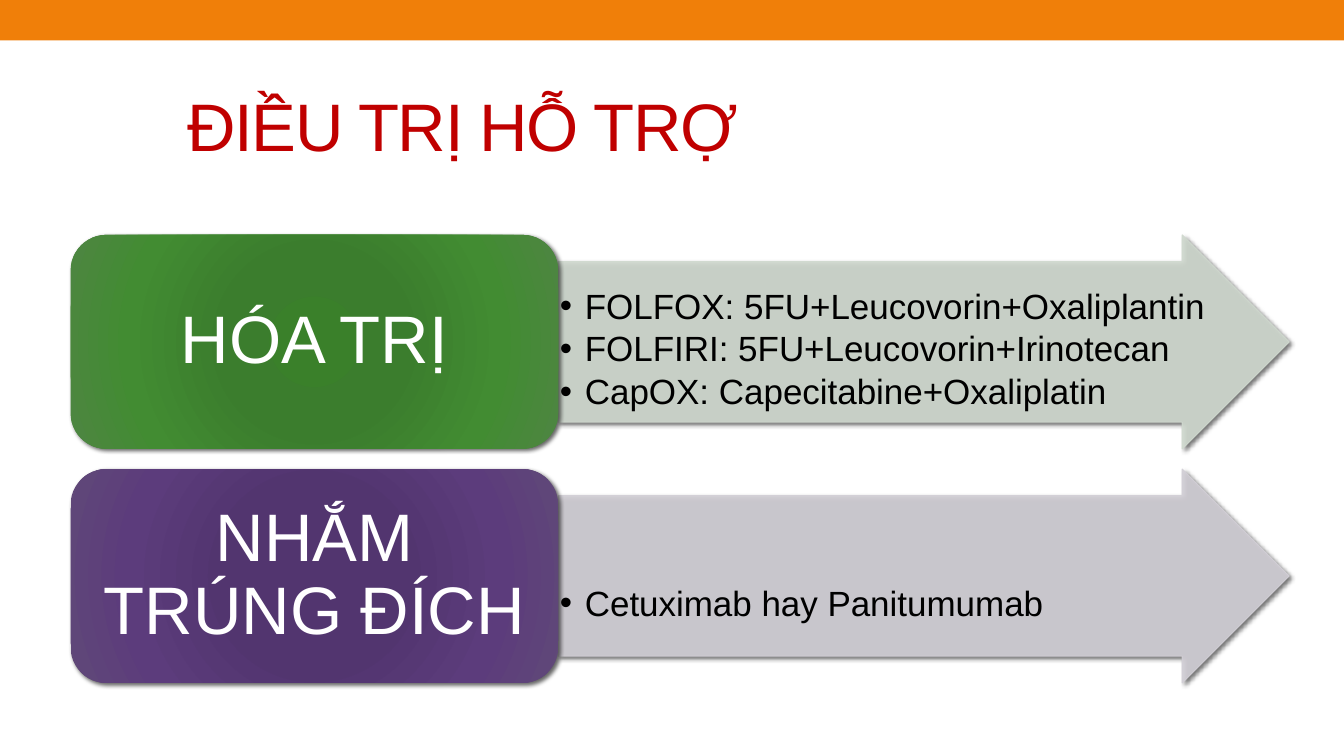
from dataclasses import dataclass

from pptx import Presentation
from pptx.dml.color import RGBColor
from pptx.enum.shapes import MSO_SHAPE
from pptx.enum.text import MSO_ANCHOR, PP_ALIGN
from pptx.oxml import parse_xml
from pptx.oxml.ns import nsdecls, qn
from pptx.util import Cm, Pt


@dataclass(frozen=True)
class Theme:
    font: str = "Arial"
    title_size: int = 48
    bullet_size: int = 25
    bar: str = "F07F09"
    title: str = "C00000"
    label: str = "FFFFFF"
    bullet: str = "000000"
    shadow: str = "000000"
    chemo_arrow: str = "D0D9CF"
    target_arrow: str = "D2CFD6"
    chemo_card: tuple = ("3A802A", "3B7D2D", "428C32", "4E8542")
    target_card: tuple = ("523371", "52356F", "5C3C7C", "604878")
    stops: tuple = (0, 34, 70, 100)


class SlideBuilder:
    def __init__(self, page, theme):
        self.page = page
        self.theme = theme

    def shape(self, kind, left, top, width, height):
        shape = self.page.shapes.add_shape(
            kind, Cm(left), Cm(top), Cm(width), Cm(height))
        shape.shadow.inherit = False
        shape.line.fill.background()
        return shape

    def text_frame(self, left, top, width, height):
        box = self.page.shapes.add_textbox(
            Cm(left), Cm(top), Cm(width), Cm(height))
        box.text_frame.word_wrap = True
        return box.text_frame

    def bar(self, width, height):
        bar = self.shape(MSO_SHAPE.RECTANGLE, 0, 0, width, height)
        bar.fill.solid()
        bar.fill.fore_color.rgb = RGBColor.from_string(self.theme.bar)

    def drop_shadow(self, shape):
        effects = shape._element.spPr.find(qn("a:effectLst"))
        effects.append(parse_xml(
            f'<a:outerShdw {nsdecls("a")} blurRad="{Pt(3)}" dist="{Pt(2)}" '
            f'dir="2700000" algn="tl" rotWithShape="0">'
            f'<a:srgbClr val="{self.theme.shadow}"><a:alpha val="60000"/>'
            f'</a:srgbClr></a:outerShdw>'))

    def span(self, para, text, size, color):
        span = para.add_run()
        span.text = text
        span.font.name = self.theme.font
        span.font.size = Pt(size)
        span.font.color.rgb = RGBColor.from_string(color)
        return span

    def title(self, text, left, top, width, height):
        frame = self.text_frame(left, top, width, height)
        frame.vertical_anchor = MSO_ANCHOR.MIDDLE
        span = self.span(frame.paragraphs[0], text,
                         self.theme.title_size, self.theme.title)
        span.font._element.set("spc", "-100")

    def card(self, text, colors, left, top, width, height):
        """Rounded label with a gradient running out from its centre."""
        card = self.shape(MSO_SHAPE.ROUNDED_RECTANGLE, left, top, width, height)
        card.fill.background()
        stops = "".join(
            f'<a:gs pos="{stop * 1000}"><a:srgbClr val="{color}"/></a:gs>'
            for stop, color in zip(self.theme.stops, colors))
        properties = card._element.spPr
        properties.replace(properties.find(qn("a:noFill")), parse_xml(
            f'<a:gradFill {nsdecls("a")} rotWithShape="1"><a:gsLst>{stops}</a:gsLst>'
            '<a:path path="circle"><a:fillToRect l="100000" t="100000" '
            'r="100000" b="100000"/></a:path></a:gradFill>'))
        self.drop_shadow(card)
        frame = card.text_frame
        frame.word_wrap = True
        frame.vertical_anchor = MSO_ANCHOR.MIDDLE
        frame.margin_left = frame.margin_right = Cm(0.5)
        frame.margin_top = frame.margin_bottom = Cm(0.25)
        para = frame.paragraphs[0]
        para.alignment = PP_ALIGN.CENTER
        para.line_spacing = 0.9
        self.span(para, text, self.theme.title_size, self.theme.label)

    def arrow(self, color, left, top, width, height):
        arrow = self.shape(MSO_SHAPE.RIGHT_ARROW, left, top, width, height)
        arrow.adjustments[0] = 0.75
        arrow.adjustments[1] = 0.5
        arrow.line.width = Pt(0.75)
        for paint in (arrow.fill, arrow.line.fill):
            paint.solid()
            paint.fore_color.rgb = RGBColor.from_string(color)
        for tint in arrow._element.spPr.iter(qn("a:srgbClr")):
            tint.append(parse_xml(f'<a:alpha {nsdecls("a")} val="90000"/>'))
        self.drop_shadow(arrow)

    def bullet_list(self, lines, first_spacing, left, top, width, height):
        """Bulleted lines; first_spacing pushes the first one down."""
        frame = self.text_frame(left, top, width, height)
        frame.margin_left = frame.margin_right = Cm(0.04)
        frame.margin_top = frame.margin_bottom = Cm(0.04)
        for index, line in enumerate(lines):
            para = frame.add_paragraph() if index else frame.paragraphs[0]
            self.bullet(para)
            para.font.size = Pt(self.theme.bullet_size)
            para.line_spacing = 0.9 if index else first_spacing
            para.space_after = Pt(3.75)
            self.span(para, line, self.theme.bullet_size, self.theme.bullet)

    def bullet(self, para):
        para.level = 1
        para.alignment = PP_ALIGN.LEFT
        properties = para._p.get_or_add_pPr()
        properties.set("marL", str(Cm(0.63)))
        properties.set("indent", str(-Cm(0.63)))
        properties.append(parse_xml(
            f'<a:buFont {nsdecls("a")} typeface="{self.theme.font}"/>'))
        properties.append(parse_xml(f'<a:buChar {nsdecls("a")} char="•"/>'))


def main():
    theme = Theme()
    deck = Presentation()
    deck.slide_width, deck.slide_height = Cm(33.87), Cm(19.05)
    builder = SlideBuilder(deck.slides.add_slide(deck.slide_layouts[6]), theme)
    builder.bar(33.87, 1.02)
    builder.title("ĐIỀU TRỊ HỖ TRỢ", 4.47, 1.35, 24.77, 3.56)

    treatments = [
        ("HÓA TRỊ", theme.chemo_card, theme.chemo_arrow, 1.5,
         ["FOLFOX: 5FU+Leucovorin+Oxaliplantin",
          "FOLFIRI: 5FU+Leucovorin+Irinotecan",
          "CapOX: Capecitabine+Oxaliplatin"]),
        ("NHẮM TRÚNG ĐÍCH", theme.target_card, theme.target_arrow, 3,
         ["Cetuximab hay Panitumumab"]),
    ]
    left, top, card_width, arrow_width, height, gap = 1.78, 5.92, 12.29, 18.42, 5.39, 0.51
    arrow_left = left + card_width
    for row, (label, card, arrow, spacing, lines) in enumerate(treatments):
        row_top = top + row * (height + gap)
        builder.arrow(arrow, arrow_left, row_top, arrow_width, height)
        builder.bullet_list(lines, spacing, arrow_left, row_top + height / 8,
                            16.41, height * 0.75)
        builder.card(label, card, left, row_top, card_width, height)

    deck.save("out.pptx")


if __name__ == "__main__":
    main()
